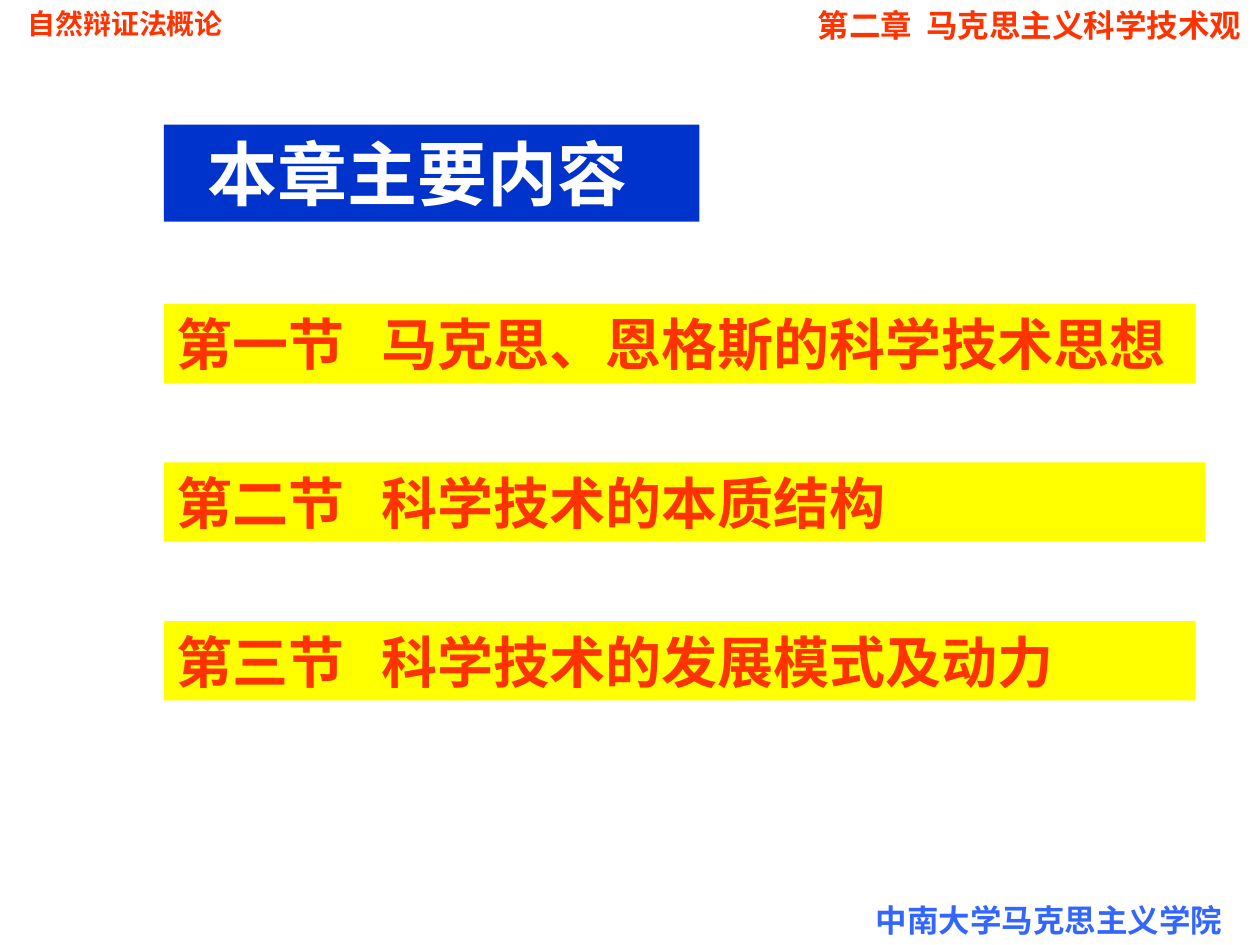
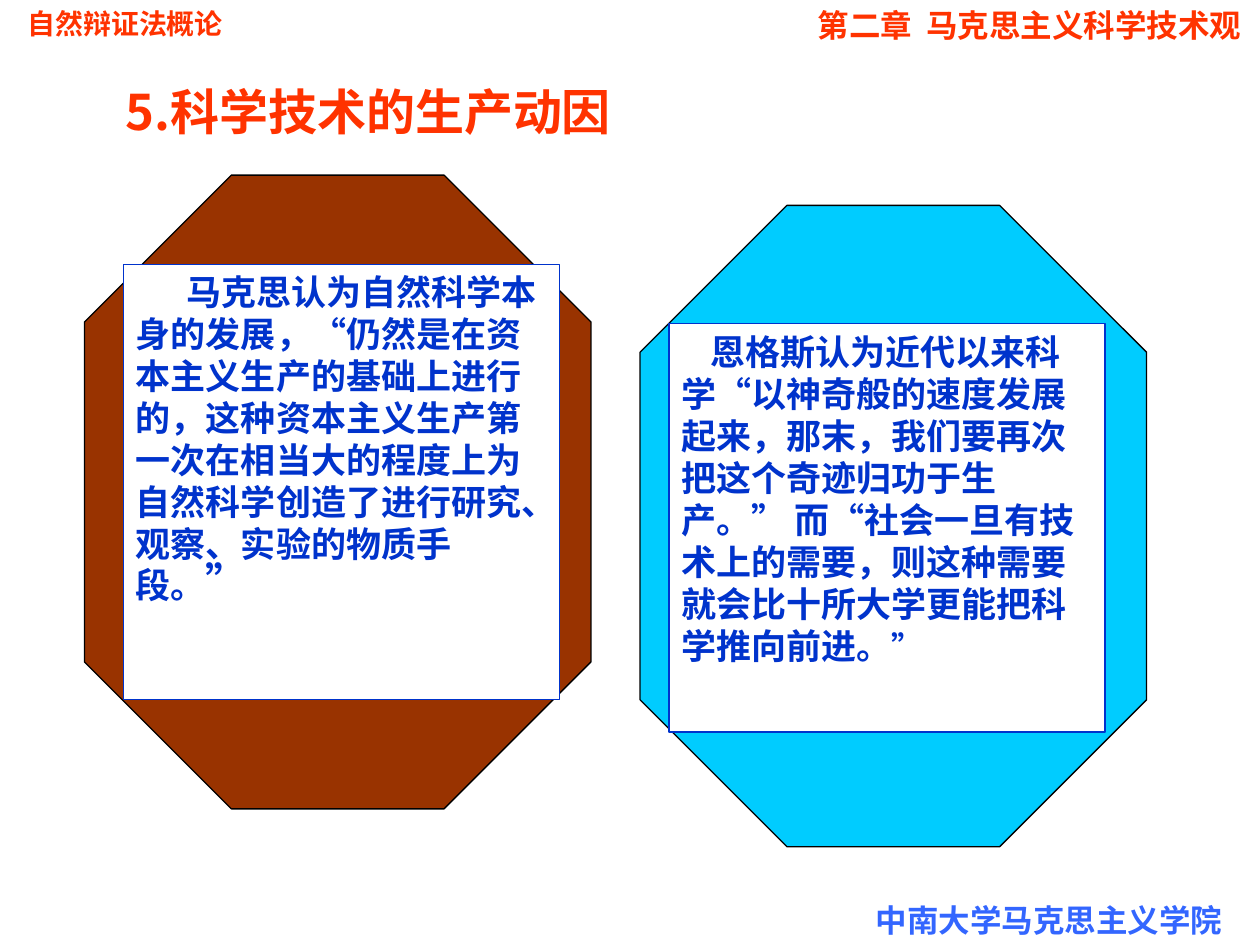
"""Build two slides on the chapter's contents and the production motive."""
from pptx import Presentation
from pptx.dml.color import RGBColor
from pptx.enum.shapes import MSO_SHAPE
from pptx.enum.text import MSO_ANCHOR, PP_ALIGN
from pptx.oxml.ns import qn
from pptx.util import Inches, Pt
from lxml.etree import SubElement

RED = RGBColor(0xFF, 0x33, 0x00)
BLUE = RGBColor(0x00, 0x33, 0xCC)
SKY = RGBColor(0x33, 0x66, 0xFF)
CYAN = RGBColor(0x00, 0xCC, 0xFF)
BROWN = RGBColor(0x99, 0x33, 0x00)
YELLOW = RGBColor(0xFF, 0xFF, 0x00)
WHITE = RGBColor(0xFF, 0xFF, 0xFF)
BLACK = RGBColor(0x00, 0x00, 0x00)
LATIN, HAN = "Arial", "Noto Sans CJK SC"
LEAD = 1.2

COURSE = "自然辩证法概论"
CHAPTER = "第二章 马克思主义科学技术观"
SCHOOL = "中南大学马克思主义学院"

TITLE = "本章主要内容"
PARTS = [
    ("第一节 马克思、恩格斯的科学技术思想", 8.19),
    ("第二节 科学技术的本质结构", 8.27),
    ("第三节 科学技术的发展模式及动力", 8.19),
]
BAR_TOP, BAR_STEP = 2.41, 1.26

MOTIVE = "5.科学技术的生产动因"
QUOTES = [
    dict(
        runs=[("马克思认为自然科学本身的发展，“仍然是在资本主义生产的基础上进行的，"
               "这种资本主义生产第一次在相当大的程度上为自然科学创造了进行研究、"
               "观察、实验的物质手段。", 20), ("”", 24)],
        fill=BROWN, frame=(0.67, 1.39, 4.02, 5.03), card=(0.98, 2.1, 3.46, 3.45),
        indent=0.4, font=LATIN),
    dict(
        runs=[("恩格斯认为近代以来科学“以神奇般的速度发展起来，那末，"
               "我们要再次把这个奇迹归功于生产。” 而“社会一旦有技术上的需要，"
               "则这种需要就会比十所大学更能把科学推向前进。", 20), ("”", 18)],
        fill=CYAN, frame=(5.08, 1.63, 4.02, 5.09), card=(5.31, 2.57, 3.46, 3.24),
        indent=0.23, font=HAN),
]


def draw(slide, box, fill=None, line=None, kind=MSO_SHAPE.RECTANGLE):
    """Add a flat shape, or a plain text box when it has no fill."""
    place = [Inches(n) for n in box]
    if fill is None:
        return slide.shapes.add_textbox(*place)
    shape = slide.shapes.add_shape(kind, *place)
    shape.shadow.inherit = False
    shape.fill.solid()
    shape.fill.fore_color.rgb = fill
    if line is None:
        shape.line.fill.background()
    else:
        shape.line.color.rgb = line
        shape.line.width = Pt(0.75)
    return shape


def write(slide, text, left, top, width, height=None, size=18, color=RED,
          font=LATIN, fill=None, line=None, indent=0, gap=0, align=PP_ALIGN.LEFT):
    """Write bold text; gap widens the space after the first word, in points."""
    runs = [(text, size)] if isinstance(text, str) else text
    if gap:
        runs = [(part, size) for part in text.partition(" ")]
    size = runs[0][1]
    height = height or round(size * LEAD / 72 + 0.1, 2)
    frame = draw(slide, (left, top, width, height), fill, line).text_frame
    frame.word_wrap = True
    frame.vertical_anchor = MSO_ANCHOR.TOP
    para = frame.paragraphs[0]
    para.alignment = align
    para.line_spacing = Pt(size * LEAD)
    para._p.get_or_add_pPr().set("indent", str(Inches(indent)))
    for words, points in runs:
        run = para.add_run()
        run.text = words
        run.font.size = Pt(points)
        run.font.bold = True
        run.font.color.rgb = color
        run.font.name = font
        mark = run._r.get_or_add_rPr()
        mark.set("lang", "zh-CN")
        if words == " ":
            mark.set("spc", str(gap * 100))
        SubElement(mark, qn("a:ea"), typeface=HAN)


def start(deck):
    """Add a blank slide with the shared header and footer."""
    slide = deck.slides.add_slide(deck.slide_layouts[6])
    write(slide, COURSE, 0.12, 0, 3.78, size=16)
    write(slide, SCHOOL, 6.85, 7.1, 3.15, color=SKY)
    write(slide, CHAPTER, 6.34, 0, 3.66, gap=4, align=PP_ALIGN.CENTER)
    return slide


def main():
    """Build and save the deck."""
    deck = Presentation()
    deck.slide_width, deck.slide_height = Inches(10), Inches(7.5)

    slide = start(deck)
    write(slide, TITLE, 1.3, 0.99, 4.25, size=40, color=WHITE, fill=BLUE, indent=0.25)
    for i, (part, width) in enumerate(PARTS):
        write(slide, part, 1.3, BAR_TOP + i * BAR_STEP, width, size=32,
              fill=YELLOW, gap=14)

    slide = start(deck)
    write(slide, MOTIVE, 0.9, 0.6, 6.85, size=28, font=HAN)
    for quote in QUOTES:
        shape = draw(slide, quote["frame"], quote["fill"], BLACK, MSO_SHAPE.OCTAGON)
        shape.adjustments[0] = 0.29
    for quote in QUOTES:
        write(slide, quote["runs"], *quote["card"], color=BLUE, font=quote["font"],
              fill=WHITE, line=BLUE, indent=quote["indent"])

    deck.save("out.pptx")


if __name__ == "__main__":
    main()
